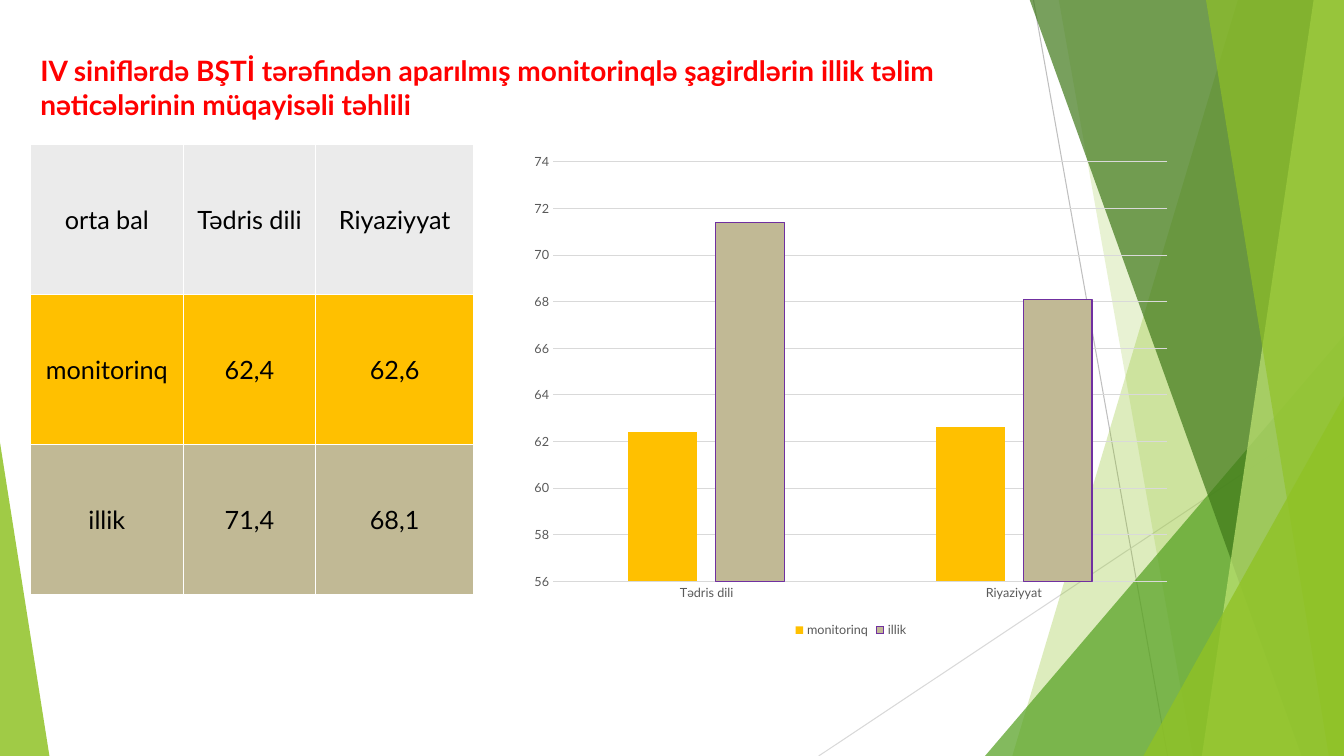
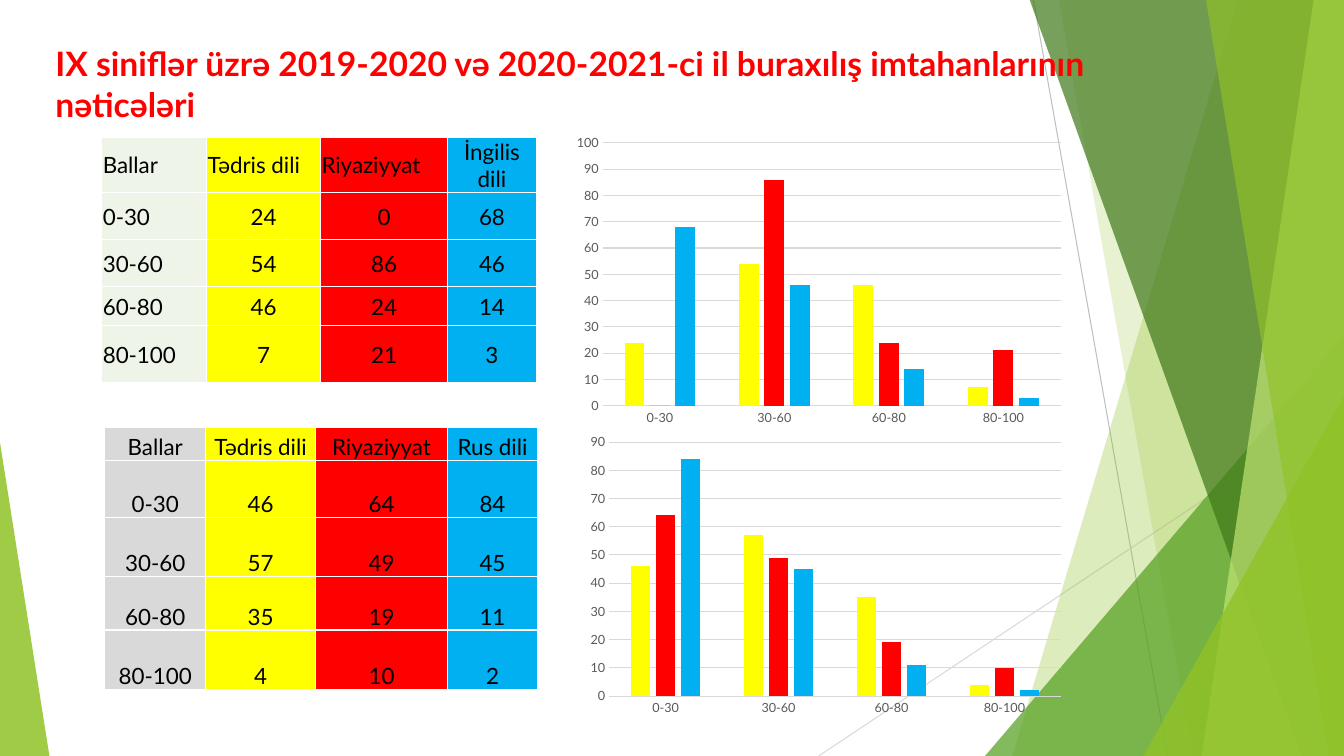
from dataclasses import dataclass
from typing import Any, Optional

from lxml import etree
from pptx import Presentation
from pptx.chart.data import CategoryChartData
from pptx.dml.color import RGBColor
from pptx.enum.chart import XL_CHART_TYPE, XL_LEGEND_POSITION, XL_TICK_MARK
from pptx.enum.dml import MSO_FILL
from pptx.enum.shapes import MSO_CONNECTOR, MSO_SHAPE
from pptx.enum.text import MSO_ANCHOR, PP_ALIGN
from pptx.oxml import parse_xml
from pptx.oxml.ns import nsdecls, qn
from pptx.util import Inches, Pt

LEFT, CENTER = PP_ALIGN.LEFT, PP_ALIGN.CENTER
TOP, MIDDLE, BOTTOM = MSO_ANCHOR.TOP, MSO_ANCHOR.MIDDLE, MSO_ANCHOR.BOTTOM
COLUMNS = XL_CHART_TYPE.COLUMN_CLUSTERED
LEGEND_BOTTOM = XL_LEGEND_POSITION.BOTTOM
NO_TICK = XL_TICK_MARK.NONE
STRAIGHT = MSO_CONNECTOR.STRAIGHT
TRIANGLE = MSO_SHAPE.ISOSCELES_TRIANGLE
SOLID = MSO_FILL.SOLID

FONT = "Lato"
WIDTH, HEIGHT, BAND_TOP = 13.33, 7.5, -0.01
BLACK, WHITE, RED = "000000", "FFFFFF", "FF0000"
YELLOW, BLUE, AMBER, KHAKI = "FFFF00", "00B0F0", "FFC000", "C1B995"
GREEN, GRID, AXIS_TEXT, PURPLE = "90C226", "D9D9D9", "595959", "7030A0"

Box = tuple[float, float, float, float]


@dataclass(frozen=True)
class Ray:
    start: tuple[float, float]
    end: tuple[float, float]
    color: str


@dataclass(frozen=True)
class Band:
    """Full-height band that runs to the right edge of the slide."""
    top_x: float
    bottom_x: float
    color: str
    opacity: int


@dataclass(frozen=True)
class Wedge:
    box: Box
    apex: float
    color: str
    opacity: int


@dataclass(frozen=True)
class Scores:
    """One score table and the chart drawn from it."""
    rows: list[list[str]]
    colors: list[str]
    by_row: bool
    table_at: tuple[float, float]
    col_widths: list[float]
    row_heights: list[float]
    size: int
    anchor: Any
    chart_box: Box
    scale: tuple[int, int, int]
    left_labels: bool = False
    legend: bool = False
    last_outline: Optional[str] = None


@dataclass(frozen=True)
class Page:
    title: str
    title_box: Box
    title_size: int
    scores: list[Scores]


DECOR = [
    Ray((10.25, 0), (11.58, HEIGHT), "BFBFBF"),
    Ray((WIDTH, 4.03), (8.12, HEIGHT), GRID),
    Band(12.28, 10.04, GREEN, 30),
    Band(10.5, 11.83, GREEN, 20),
    Wedge((9.77, 3.33, 3.56, 4.17), 1, "54A021", 72),
    Band(10.21, 12.91, "3F7819", 70),
    Band(13.03, 11.92, "C0E474", 70),
    Band(11.96, 13.18, GREEN, 65),
    Wedge((11.34, 3.93, 1.99, 3.57), 1, GREEN, 80),
    Wedge((0, 4.39, 0.49, 3.11), 0, GREEN, 85),
]

PAGES = [
    Page(
        "IV siniflərdə BŞTİ tərəfindən aparılmış monitorinqlə şagirdlərin "
        "illik təlim nəticələrinin müqayisəli təhlili",
        (0.3, 0.48, 9.34, 0.77), 20,
        [Scores(
            [["orta bal", "Tədris dili", "Riyaziyyat"],
             ["monitorinq", "62,4", "62,6"],
             ["illik", "71,4", "68,1"]],
            ["EBEBEB", AMBER, KHAKI], True,
            (0.3, 1.43), [1.52, 1.31, 1.57], [1.49] * 3, 18, MIDDLE,
            (5.17, 1.43, 6.54, 4.94), (56, 74, 2),
            legend=True, last_outline=PURPLE)],
    ),
    Page(
        "IX siniflər üzrə 2019-2020 və 2020-2021-ci il buraxılış "
        "imtahanlarının nəticələri",
        (0.45, 0.38, 10.61, 0.91), 24,
        [Scores(
            [["Ballar", "Tədris dili", "Riyaziyyat", "İngilis dili"],
             ["0-30", "24", "0", "68"],
             ["30-60", "54", "86", "46"],
             ["60-80", "46", "24", "14"],
             ["80-100", "7", "21", "3"]],
            ["EEF4E8", YELLOW, RED, BLUE], False,
            (1.01, 1.36), [1.04, 1.13, 1.26, 0.88],
            [0.55, 0.47, 0.46, 0.39, 0.57], 16, MIDDLE,
            (5.62, 1.28, 5, 3), (0, 100, 10), left_labels=True),
         Scores(
            [["Ballar", "Tədris dili", "Riyaziyyat", "Rus dili"],
             ["0-30", "46", "64", "84"],
             ["30-60", "57", "49", "45"],
             ["60-80", "35", "19", "11"],
             ["80-100", "4", "10", "2"]],
            [GRID, YELLOW, RED, BLUE], False,
            (1.04, 4.24), [1, 1.09, 1.31, 0.89],
            [0.33, 0.56, 0.59, 0.53, 0.59], 16, BOTTOM,
            (5.76, 4.25, 4.86, 2.91), (0, 90, 10))],
    ),
]


def paint(target: Any, color: str) -> None:
    """Give a fill or a font a hex colour."""
    if hasattr(target, "solid"):
        target.solid()
        target.fore_color.rgb = RGBColor.from_string(color)
    else:
        target.color.rgb = RGBColor.from_string(color)


def set_all(target: Any, values: dict[str, Any]) -> None:
    for name, value in values.items():
        setattr(target, name, value)


def set_font(font: Any, size: int, color: str, bold: bool = False) -> None:
    set_all(font, {"name": FONT, "size": Pt(size), "bold": bold})
    paint(font, color)


def set_line(line: Any, color: str) -> None:
    paint(line.fill, color)
    line.width = Pt(0.75)


def inches(box: Box) -> list[int]:
    return [Inches(value) for value in box]


def draw_decor(slide: Any, part: Any) -> Any:
    """Draw one background part and return its element."""
    if isinstance(part, Ray):
        ray = slide.shapes.add_connector(STRAIGHT, *inches(part.start + part.end))
        set_line(ray.line, part.color)
        etree.SubElement(ray._element.spPr, qn("a:effectLst"))
        return ray._element
    if isinstance(part, Band):
        outline = [(part.top_x, BAND_TOP), (WIDTH, BAND_TOP),
                   (WIDTH, HEIGHT), (part.bottom_x, HEIGHT)]
        points = [(Inches(x), Inches(y)) for x, y in outline]
        builder = slide.shapes.build_freeform(*points[0])
        builder.add_line_segments(points[1:], close=True)
        shape = builder.convert_to_shape()
    else:
        shape = slide.shapes.add_shape(TRIANGLE, *inches(part.box))
        shape.adjustments[0] = part.apex
    shape.shadow.inherit = False
    shape.line.fill.background()
    paint(shape.fill, part.color)
    tint = shape._element.spPr.find(f".//{qn('a:srgbClr')}")
    etree.SubElement(tint, qn("a:alpha"), val=str(part.opacity * 1000))
    return shape._element


def decorate_layout(layout: Any, slide: Any) -> None:
    """Draw the background on a slide, then hand it to the shared layout."""
    tree = layout.shapes._spTree
    for index, part in enumerate(DECOR):
        element = draw_decor(slide, part)
        element.xpath(".//p:cNvPr")[0].set("id", str(100 + index))
        tree.insert(2 + index, element)


def set_title(slide: Any, page: Page) -> None:
    title = slide.shapes.title
    set_all(title, dict(zip(("left", "top", "width", "height"),
                            inches(page.title_box))))
    frame = title.text_frame
    frame.text = page.title
    set_all(frame, {"word_wrap": True, "vertical_anchor": TOP})
    frame.paragraphs[0].alignment = LEFT
    set_font(frame.paragraphs[0].runs[0].font, page.title_size, RED, True)


def add_borders(cell: Any) -> None:
    properties = cell._tc.get_or_add_tcPr()
    for side in ("lnL", "lnR", "lnT", "lnB"):
        properties.append(parse_xml(
            f'<a:{side} {nsdecls("a")} w="12700"><a:solidFill>'
            f'<a:srgbClr val="{WHITE}"/></a:solidFill></a:{side}>'))


def add_score_table(slide: Any, scores: Scores) -> None:
    widths, heights = scores.col_widths, scores.row_heights
    box = (*scores.table_at, sum(widths), sum(heights))
    table = slide.shapes.add_table(len(heights), len(widths), *inches(box)).table
    set_all(table, {"first_row": False, "horz_banding": False})
    for column, width in zip(table.columns, widths):
        column.width = Inches(width)
    for r, texts in enumerate(scores.rows):
        table.rows[r].height = Inches(heights[r])
        for c, text in enumerate(texts):
            cell = table.cell(r, c)
            cell.text = text
            set_all(cell, {"margin_left": Inches(0.01), "margin_right": Inches(0.01),
                           "margin_top": Inches(0.01), "margin_bottom": 0,
                           "vertical_anchor": scores.anchor})
            is_label = c == 0 or (r == 0 and c < len(widths) - 1)
            paragraph = cell.text_frame.paragraphs[0]
            paragraph.alignment = LEFT if scores.left_labels and is_label else CENTER
            set_font(paragraph.runs[0].font, scores.size, BLACK)
            add_borders(cell)
            paint(cell.fill, scores.colors[r if scores.by_row else c])


def clear_background(chart: Any) -> None:
    """Let the slide show through the chart and its plot area."""
    space = chart._chartSpace
    empty = (f'<c:spPr {nsdecls("c", "a")}><a:noFill/>'
             '<a:ln><a:noFill/></a:ln></c:spPr>')
    space.find(qn("c:chart")).addnext(parse_xml(empty))
    space.find(f".//{qn('c:plotArea')}").append(parse_xml(empty))


def add_score_chart(slide: Any, scores: Scores) -> None:
    # Each series is a table row or a table column
    lines = scores.rows if scores.by_row else list(zip(*scores.rows))
    data = CategoryChartData()
    data.categories = lines[0][1:]
    for name, *values in lines[1:]:
        data.add_series(name, [float(value.replace(",", ".")) for value in values])
    chart = slide.shapes.add_chart(COLUMNS, *inches(scores.chart_box), data).chart
    set_all(chart, {"has_title": False, "has_legend": scores.legend})
    set_font(chart.font, 10, BLACK)
    clear_background(chart)

    # Columns
    plot = chart.plots[0]
    set_all(plot, {"gap_width": 219, "overlap": -27, "vary_by_categories": False})
    for series, color in zip(plot.series, scores.colors[1:]):
        paint(series.format.fill, color)
    if scores.last_outline:
        set_line(plot.series[len(lines) - 2].format.line, scores.last_outline)

    # Axes and legend
    for axis in (chart.category_axis, chart.value_axis):
        set_all(axis, {"major_tick_mark": NO_TICK, "minor_tick_mark": NO_TICK})
        set_font(axis.tick_labels.font, 9, AXIS_TEXT)
    set_line(chart.category_axis.format.line, GRID)
    low, high, step = scores.scale
    set_all(chart.value_axis, {"minimum_scale": low, "maximum_scale": high,
                               "major_unit": step, "has_major_gridlines": True})
    chart.value_axis.format.line.fill.background()
    set_line(chart.value_axis.major_gridlines.format.line, GRID)
    if scores.legend:
        set_all(chart.legend, {"position": LEGEND_BOTTOM, "include_in_layout": False})
        set_font(chart.legend.font, 9, AXIS_TEXT)


def main() -> None:
    deck = Presentation()
    set_all(deck, {"slide_width": Inches(WIDTH), "slide_height": Inches(HEIGHT)})
    title_only = deck.slide_layouts[5]
    for number, page in enumerate(PAGES):
        slide = deck.slides.add_slide(title_only)
        if number == 0:
            decorate_layout(title_only, slide)
        set_title(slide, page)
        for scores in page.scores:
            add_score_table(slide, scores)
            add_score_chart(slide, scores)
    deck.save("out.pptx")


if __name__ == "__main__":
    main()
